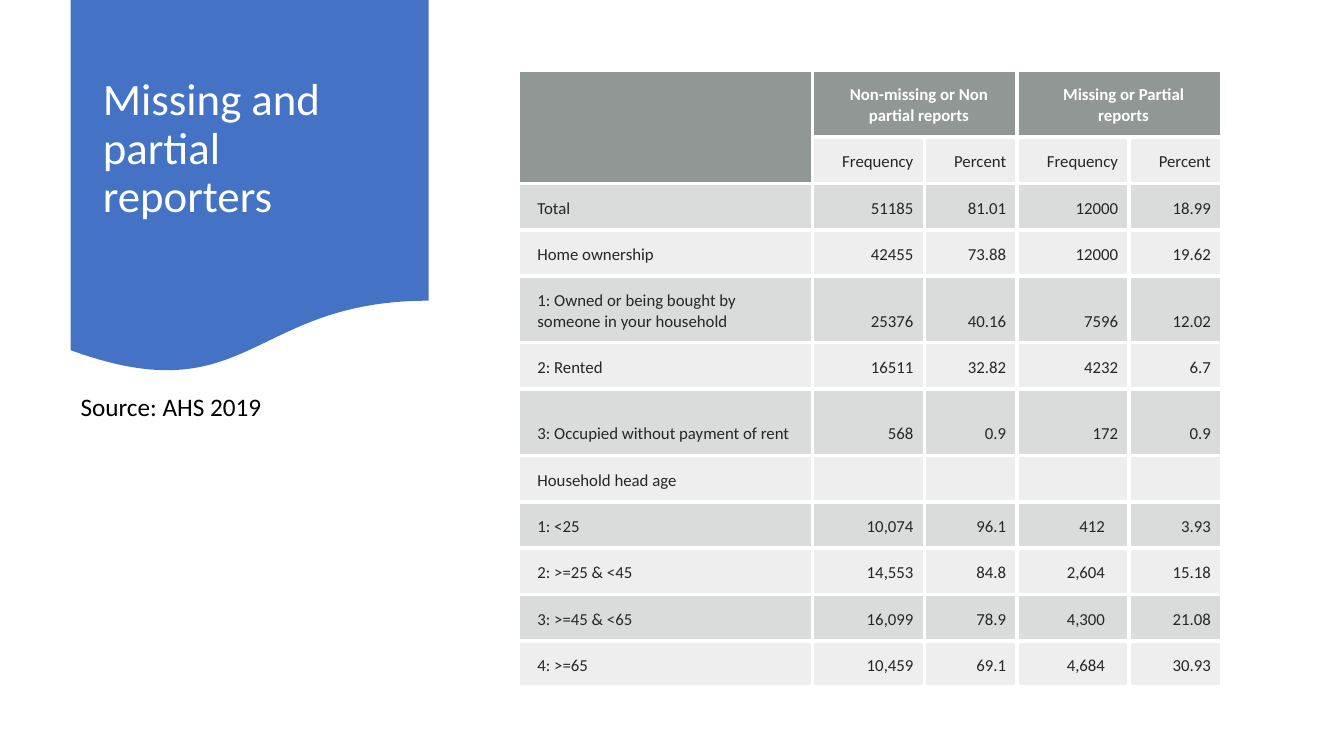
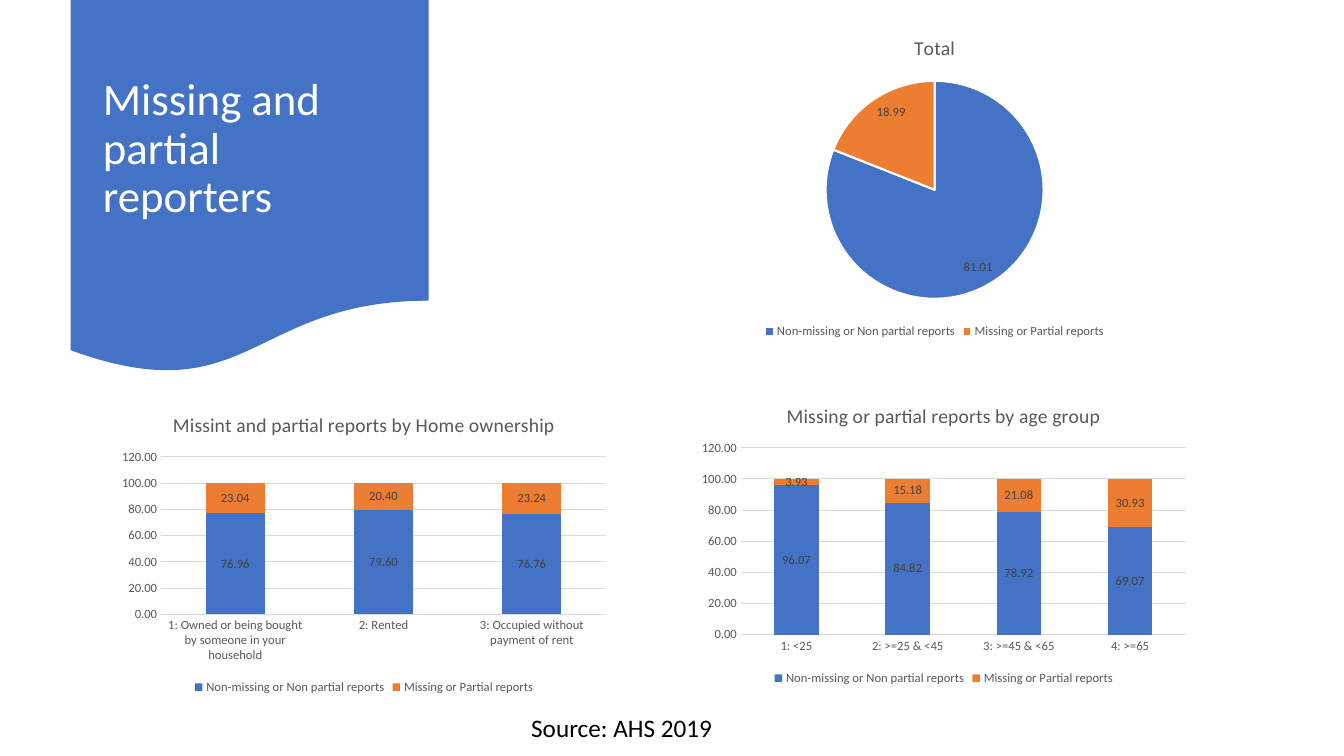
from pptx import Presentation
from pptx.chart.data import CategoryChartData
from pptx.dml.color import RGBColor
from pptx.enum.chart import XL_CHART_TYPE as ChartType, XL_LABEL_POSITION as LabelPosition
from pptx.enum.chart import XL_LEGEND_POSITION as LegendPosition, XL_TICK_MARK as TickMark
from pptx.enum.shapes import MSO_SHAPE as Preset
from pptx.enum.text import MSO_ANCHOR as Anchor, MSO_AUTO_SIZE as AutoSize, PP_ALIGN as Align
from pptx.oxml import parse_xml
from pptx.oxml.ns import nsdecls, qn
from pptx.util import Inches, Pt
from lxml.etree import SubElement

FONT = "Calibri"
WHITE = RGBColor(0xFF, 0xFF, 0xFF)
BLACK = RGBColor(0x00, 0x00, 0x00)
BLUE = RGBColor(0x44, 0x72, 0xC4)
ORANGE = RGBColor(0xED, 0x7D, 0x31)
HEADER_GRAY = RGBColor(0x63, 0x6B, 0x68)
BODY_GRAY = RGBColor(0x87, 0x8E, 0x8B)
TABLE_TEXT = RGBColor(0x26, 0x26, 0x26)
CHART_TEXT = RGBColor(0x59, 0x59, 0x59)
LABEL_TEXT = RGBColor(0x40, 0x40, 0x40)
GRID = RGBColor(0xD9, 0xD9, 0xD9)

deck = Presentation()
deck.slide_width, deck.slide_height = Inches(13.33), Inches(7.5)


def style_font(font, size, color, bold=False):
    font.name, font.size, font.bold = FONT, Pt(size), bold
    font.color.rgb = color


def add_page(source_left, source_top):
    page = deck.slides.add_slide(deck.slide_layouts[5])
    title = page.shapes.title
    banner = page.shapes.add_shape(
        Preset.FLOWCHART_DOCUMENT, Inches(0.7), Inches(0), Inches(3.55), Inches(3.72))
    banner.shadow.inherit = False
    banner.fill.solid()
    banner.fill.fore_color.rgb = BLUE
    banner.line.fill.background()
    title.element.addprevious(banner.element)

    title.left, title.top = Inches(0.92), Inches(0.19)
    title.width, title.height = Inches(3.11), Inches(2.59)
    frame = title.text_frame
    frame.text = "Missing and partial reporters"
    frame.word_wrap = True
    frame.auto_size = AutoSize.NONE
    frame.vertical_anchor = Anchor.MIDDLE
    para = frame.paragraphs[0]
    para.alignment = Align.LEFT
    para.line_spacing = 0.9
    style_font(para.runs[0].font, 32, WHITE)

    box = page.shapes.add_textbox(
        Inches(source_left), Inches(source_top), Inches(3.68), Inches(0.4))
    box.text_frame.text = "Source: AHS 2019"
    box.text_frame.word_wrap = True
    box.text_frame.auto_size = AutoSize.SHAPE_TO_FIT_TEXT
    style_font(box.text_frame.paragraphs[0].runs[0].font, 18, BLACK)
    return page


GROUPS = ["Non-missing or Non partial reports", "Missing or Partial reports"]
OWNERSHIP = ["1: Owned or being bought by someone in your household", "2: Rented",
             "3: Occupied without payment of rent"]
AGES = ["1: <25", "2: >=25 & <45", "3: >=45 & <65", "4: >=65"]

table_page = add_page(0.7, 3.83)
rows = [
    ["", GROUPS[0], "", GROUPS[1], ""],
    ["", "Frequency", "Percent", "Frequency", "Percent"],
    ["Total", "51185", "81.01", "12000", "18.99"],
    ["Home ownership", "42455", "73.88", "12000", "19.62"],
    [OWNERSHIP[0], "25376", "40.16", "7596", "12.02"],
    [OWNERSHIP[1], "16511", "32.82", "4232", "6.7"],
    [OWNERSHIP[2], "568", "0.9", "172", "0.9"],
    ["Household head age", "", "", "", ""],
    [AGES[0], "10,074", "96.1", "412", "3.93"],
    [AGES[1], "14,553", "84.8", "2,604", "15.18"],
    [AGES[2], "16,099", "78.9", "4,300", "21.08"],
    [AGES[3], "10,459", "69.1", "4,684", "30.93"],
]
tall_rows = (0, 4, 6)
first_age_row = 8
column_widths = [2.92, 1.11, 0.92, 1.11, 0.92]
table = table_page.shapes.add_table(
    len(rows), len(column_widths), Inches(5.14), Inches(0.7), Inches(6.98), Inches(6.12)).table
table.first_row = table.horz_banding = False
for column, width in zip(table.columns, column_widths):
    column.width = Inches(width)

for r, texts in enumerate(rows):
    table.rows[r].height = Inches(0.66 if r in tall_rows else 0.46)
    for c, text in enumerate(texts):
        cell = table.cell(r, c)
        is_header = r == 0 or (r == 1 and c == 0)
        cell.fill.solid()
        cell.fill.fore_color.rgb = HEADER_GRAY if is_header else BODY_GRAY
        opacity = 70 if is_header else 15 if r % 2 else 30
        properties = cell._tc.get_or_add_tcPr()
        fill_color = properties.find(qn("a:solidFill")).find(qn("a:srgbClr"))
        SubElement(fill_color, qn("a:alpha")).set("val", str(opacity * 1000))
        for position, side in enumerate(("lnL", "lnR", "lnT", "lnB")):
            properties.insert(position, parse_xml(
                f'<a:{side} {nsdecls("a")} w="{Pt(3)}"><a:solidFill>'
                f'<a:srgbClr val="{WHITE}"/></a:solidFill></a:{side}>'))
        if not text:
            continue
        cell.text = text
        cell.vertical_anchor = Anchor.BOTTOM
        cell.margin_left = Inches(0.19)
        cell.margin_top = cell.margin_bottom = Inches(0.11)
        cell.margin_right = Inches(0.24 if c == 3 and r >= first_age_row else 0.11)
        para = cell.text_frame.paragraphs[0]
        para.alignment = Align.CENTER if r == 0 else Align.RIGHT if c else Align.LEFT
        style_font(para.runs[0].font, 12, WHITE if is_header else TABLE_TEXT, is_header)

table.cell(0, 0).merge(table.cell(1, 0))
for c in (1, 3):
    table.cell(0, c).merge(table.cell(0, c + 1))

chart_page = add_page(5.17, 7.02)
charts = [
    (ChartType.PIE, "Total", (6.58, 0.19, 5.38, 3.21), GROUPS,
     {"Total": [81.01, 18.99]}),
    (ChartType.COLUMN_STACKED, "Missint and partial reports by Home ownership",
     (1.11, 3.93, 5, 3), OWNERSHIP,
     {GROUPS[0]: [76.96, 79.6, 76.76], GROUPS[1]: [23.04, 20.4, 23.24]}),
    (ChartType.COLUMN_STACKED, "Missing or partial reports by age group",
     (6.86, 3.84, 5, 3), AGES,
     {GROUPS[0]: [96.07, 84.82, 78.92, 69.07], GROUPS[1]: [3.93, 15.18, 21.08, 30.93]}),
]
for kind, heading, place, categories, series_values in charts:
    data = CategoryChartData()
    data.categories = categories
    for name, values in series_values.items():
        data.add_series(name, values)
    chart = chart_page.shapes.add_chart(kind, *map(Inches, place), data).chart
    style_font(chart.font, 10, BLACK)
    chart.has_title = True
    chart.chart_title.text_frame.text = heading
    style_font(chart.chart_title.text_frame.paragraphs[0].runs[0].font, 14, CHART_TEXT)
    chart.chart_title.include_in_layout = False
    chart.has_legend = True
    chart.legend.position = LegendPosition.BOTTOM
    chart.legend.include_in_layout = False
    style_font(chart.legend.font, 9, CHART_TEXT)

    is_pie = kind == ChartType.PIE
    plot = chart.plots[0]
    plot.vary_by_categories = is_pie
    for series in plot.series:
        labels = series.data_labels
        labels.show_value = True
        labels.position = LabelPosition.INSIDE_END if is_pie else LabelPosition.CENTER
        labels.number_format = "General" if is_pie else "0.00"
        labels.number_format_is_linked = False
        style_font(labels.font, 9, LABEL_TEXT)

    colored = [plot.series[0].points[i] for i in range(2)] if is_pie else plot.series
    for part, color in zip(colored, (BLUE, ORANGE)):
        part.format.fill.solid()
        part.format.fill.fore_color.rgb = color
        if is_pie:
            part.format.line.color.rgb = WHITE
            part.format.line.width = Pt(1.5)
    if is_pie:
        continue

    plot.gap_width, plot.overlap = 150, 100
    for axis in (chart.category_axis, chart.value_axis):
        axis.major_tick_mark = axis.minor_tick_mark = TickMark.NONE
        style_font(axis.tick_labels.font, 9, CHART_TEXT)
    value_axis = chart.value_axis
    value_axis.minimum_scale, value_axis.maximum_scale = 0, 120
    value_axis.major_unit = 20
    value_axis.tick_labels.number_format = "0.00"
    value_axis.tick_labels.number_format_is_linked = False
    value_axis.format.line.fill.background()
    for line in (chart.category_axis.format.line, value_axis.major_gridlines.format.line):
        line.color.rgb = GRID
        line.width = Pt(0.75)

deck.save("out.pptx")
